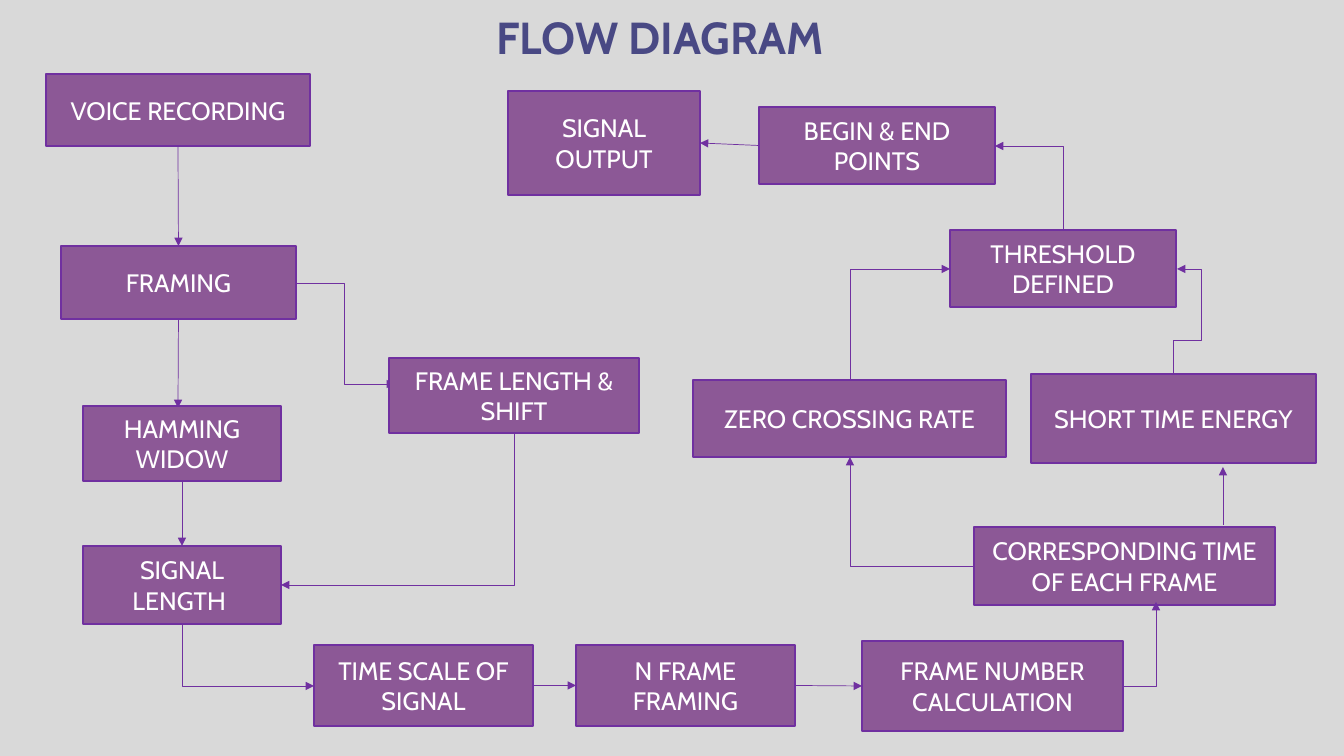
from lxml import etree
from pptx import Presentation
from pptx.dml.color import RGBColor
from pptx.enum import shapes, text
from pptx.oxml import ns
from pptx.util import Emu, Pt

TITLE = "FLOW DIAGRAM"
TITLE_BOX = (486, -61, 637, 130)
BOXES = {
    "voice": ("VOICE RECORDING", 46, 74, 264, 72),
    "framing": ("FRAMING", 61, 246, 235, 73),
    "shift": ("FRAME LENGTH & SHIFT", 389, 358, 250, 75),
    "hamming": ("HAMMING WIDOW", 83, 406, 198, 75),
    "length": ("SIGNAL LENGTH ", 83, 546, 198, 78),
    "scale": ("TIME SCALE OF SIGNAL", 314, 645, 219, 81),
    "frames": ("N FRAME FRAMING", 576, 645, 219, 81),
    "number": ("FRAME NUMBER CALCULATION", 862, 641, 261, 90),
    "time": ("CORRESPONDING TIME OF EACH FRAME", 974, 527, 301, 78),
    "energy": ("SHORT TIME ENERGY", 1031, 374, 285, 89),
    "crossing": ("ZERO CROSSING RATE", 693, 380, 313, 77),
    "threshold": ("THRESHOLD DEFINED", 950, 230, 226, 77),
    "points": ("BEGIN & END POINTS", 759, 107, 236, 77),
    "output": ("SIGNAL OUTPUT", 508, 91, 192, 104),
}
TOP, LEFT, BOTTOM, RIGHT = range(4)
JOINED_ARROWS = [
    ("voice", BOTTOM, "framing", TOP),
    ("hamming", BOTTOM, "length", TOP),
    ("scale", RIGHT, "frames", LEFT),
    ("frames", RIGHT, "number", LEFT),
    ("points", LEFT, "output", RIGHT),
]
ACROSS_FIRST = [
    ((1123, 686), (1156, 602)),
    ((974, 566), (850, 457)),
]
DOWN_FIRST = [
    ((514, 433), (281, 585)),
    ((182, 624), (314, 686)),
    ((850, 380), (950, 269)),
    ((1063, 230), (995, 146)),
]

PX = 12192000 / 1344
FONT = "Cabin"
BACKGROUND = RGBColor(0xD9, 0xD9, 0xD9)
BOX_FILL = RGBColor(0x8C, 0x58, 0x96)
LINE = RGBColor(0x70, 0x30, 0xA0)
TITLE_COLOR = RGBColor(0x49, 0x49, 0x84)
WHITE = RGBColor(0xFF, 0xFF, 0xFF)


def emu(*lengths):
    return [Emu(round(length * PX)) for length in lengths]


def write(shape, words, size, color, bold=False, align=None, anchor=None, spacing=None):
    frame = shape.text_frame
    frame.word_wrap = True
    frame.auto_size = text.MSO_AUTO_SIZE.NONE
    frame.vertical_anchor = anchor
    paragraph = frame.paragraphs[0]
    paragraph.alignment = align
    paragraph.line_spacing = spacing
    run = paragraph.add_run()
    run.text = words
    run.font.name = FONT
    run.font.size = Pt(size)
    run.font.bold = bold
    run.font.color.rgb = color


def add_box(slide, words, *place):
    box = slide.shapes.add_shape(shapes.MSO_SHAPE.RECTANGLE, *emu(*place))
    box.shadow.inherit = False
    box.fill.solid()
    box.fill.fore_color.rgb = BOX_FILL
    box.line.color.rgb = LINE
    box.line.width = Pt(1)
    write(box, words, 18, WHITE, align=text.PP_ALIGN.CENTER, anchor=text.MSO_ANCHOR.MIDDLE)
    return box


def add_arrow(slide, begin=(0, 0), end=(0, 0), kind=shapes.MSO_CONNECTOR.STRAIGHT):
    arrow = slide.shapes.add_connector(kind, *emu(*begin, *end))
    arrow.line.color.rgb = LINE
    arrow.line.width = Pt(0.5)
    etree.SubElement(arrow.line._get_or_add_ln(), ns.qn("a:tailEnd"), type="triangle")
    etree.SubElement(arrow._element.spPr, ns.qn("a:effectLst"))
    return arrow


def add_elbow(slide, begin, end, preset="bentConnector2", down_first=False, adjust=()):
    if down_first:
        (x1, y1), (x2, y2) = begin, end
        middle_x, middle_y = (x1 + x2) / 2, (y1 + y2) / 2
        half_x, half_y = (x2 - x1) / 2, (y2 - y1) / 2
        begin = (middle_x - half_y, middle_y + half_x)
        end = (middle_x + half_y, middle_y - half_x)
    arrow = add_arrow(slide, begin, end, shapes.MSO_CONNECTOR.ELBOW)
    properties = arrow._element.spPr
    if down_first:
        properties.find(ns.qn("a:xfrm")).set("rot", "5400000")
    geometry = properties.find(ns.qn("a:prstGeom"))
    geometry.set("prst", preset)
    values = geometry.find(ns.qn("a:avLst"))
    for number, value in enumerate(adjust, 1):
        etree.SubElement(values, ns.qn("a:gd"), name=f"adj{number}", fmla=f"val {value}")
    return arrow


def main():
    presentation = Presentation()
    presentation.slide_width, presentation.slide_height = emu(1344, 756)
    slide = presentation.slides.add_slide(presentation.slide_layouts[5])
    slide.background.fill.solid()
    slide.background.fill.fore_color.rgb = BACKGROUND

    title = slide.shapes.title
    title.left, title.top, title.width, title.height = emu(*TITLE_BOX)
    write(title, TITLE, 32, TITLE_COLOR, bold=True, align=text.PP_ALIGN.LEFT,
          anchor=text.MSO_ANCHOR.BOTTOM, spacing=Pt(40))

    boxes = {name: add_box(slide, *box) for name, box in BOXES.items()}

    for source, source_side, target, target_side in JOINED_ARROWS:
        arrow = add_arrow(slide)
        arrow.begin_connect(boxes[source], source_side)
        arrow.end_connect(boxes[target], target_side)

    add_arrow(slide, (1223, 525), (1223, 467))
    to_hamming = add_arrow(slide, (178, 319), (178, 408))
    to_hamming.begin_connect(boxes["framing"], BOTTOM)
    to_shift = add_elbow(slide, (294, 283), (395, 384), "bentConnector3")
    for arrow in (to_hamming, to_shift):
        boxes["voice"]._element.addprevious(arrow._element)

    for begin, end in ACROSS_FIRST:
        add_elbow(slide, begin, end)
    for begin, end in DOWN_FIRST:
        add_elbow(slide, begin, end, down_first=True)
    add_elbow(slide, (1173, 374), (1177, 269), "bentConnector4",
              down_first=True, adjust=(31500, 700000))

    presentation.save("out.pptx")


if __name__ == "__main__":
    main()
